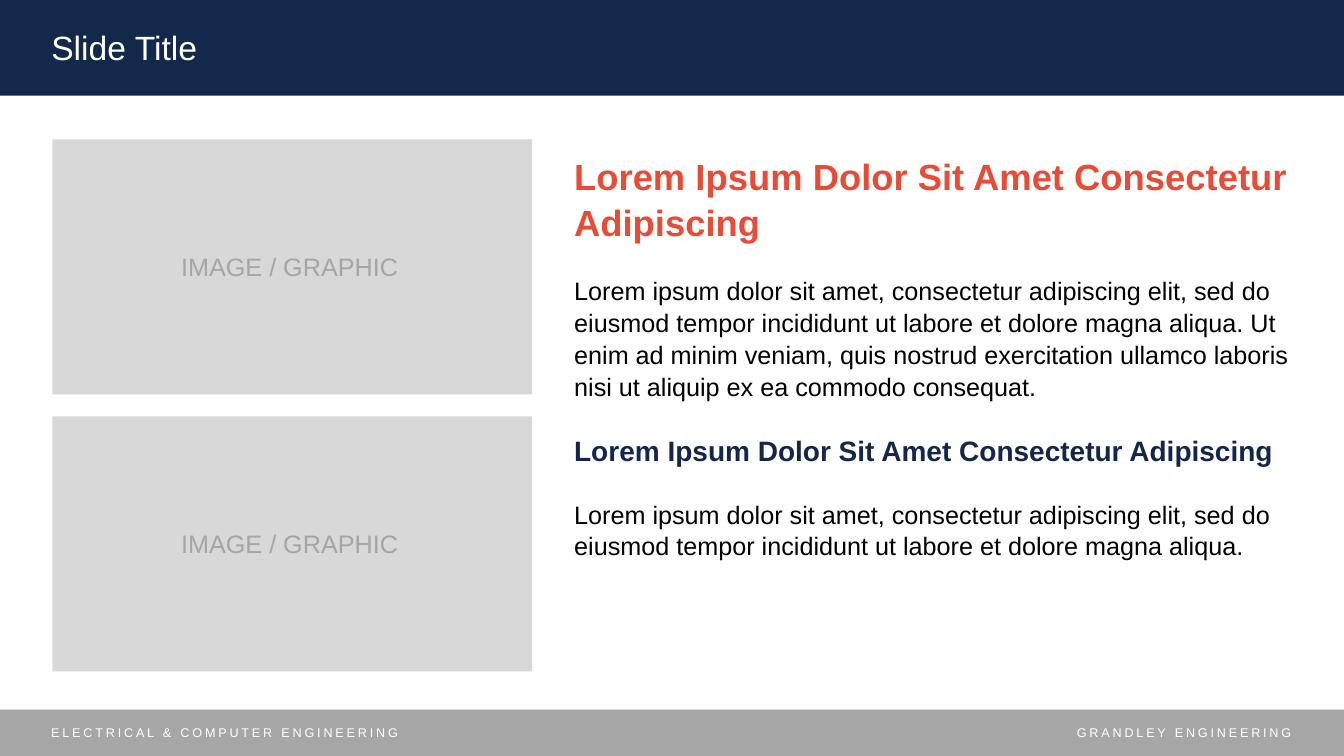
"""Build a slide with two image frames beside a column of text."""
from dataclasses import dataclass
from typing import Any

import pptx
import pptx.dml.color
import pptx.enum.shapes
import pptx.enum.text
import pptx.util

Cm = pptx.util.Cm
Pt = pptx.util.Pt
Align = pptx.enum.text.PP_ALIGN


@dataclass(frozen=True)
class Theme:
    font: str = "Arial"
    navy: str = "13294B"
    ink: str = "15264B"
    coral: str = "E84B36"
    black: str = "000000"
    white: str = "FFFFFF"
    frame: str = "D8D8D8"
    label: str = "A5A5A5"
    foot: str = "A6A6A6"
    title_size: float = 24
    head_size: float = 26
    sub_size: float = 20
    text_size: float = 18
    foot_size: float = 9


@dataclass(frozen=True)
class Box:
    left: float
    top: float
    width: float
    height: float

    def place(self) -> tuple:
        return Cm(self.left), Cm(self.top), Cm(self.width), Cm(self.height)


@dataclass(frozen=True)
class Part:
    text: str
    size: float
    color: str
    bold: bool = False


@dataclass(frozen=True)
class Note:
    box: Box
    text: str
    align: Any


THEME = Theme()
WIDTH, HEIGHT = 33.87, 19.05
TOP_BAR = Box(0, 0, WIDTH, 2.41)
FOOT_BAR = Box(0, 17.88, WIDTH, 1.17)
TITLE = Box(1.04, 0.56, 30.3, 1.27)
BODY = Box(14.22, 3.71, 18.57, 13.39)
FRAMES = [Box(1.32, 3.51 + 6.98 * row, 12.09, 6.43) for row in range(2)]
BODY_GAP = 21.7
BODY_LINE = 1.05

PARTS = [
    Part("Lorem Ipsum Dolor Sit Amet Consectetur Adipiscing",
         THEME.head_size, THEME.coral, True),
    Part("Lorem ipsum dolor sit amet, consectetur adipiscing elit, sed do "
         "eiusmod tempor incididunt ut labore et dolore magna aliqua. Ut enim "
         "ad minim veniam, quis nostrud exercitation ullamco laboris nisi ut "
         "aliquip ex ea commodo consequat.",
         THEME.text_size, THEME.black),
    Part("Lorem Ipsum Dolor Sit Amet Consectetur Adipiscing",
         THEME.sub_size, THEME.ink, True),
    Part("Lorem ipsum dolor sit amet, consectetur adipiscing elit, sed do "
         "eiusmod tempor incididunt ut labore et dolore magna aliqua.",
         THEME.text_size, THEME.black),
]

NOTES = [
    Note(Box(1.04, 18.14, 22.2, 0.64), "ELECTRICAL & COMPUTER ENGINEERING",
         Align.LEFT),
    Note(Box(25.93, 18.14, 6.86, 0.64), "GRANDLEY ENGINEERING", Align.RIGHT),
]


def rgb(color: str) -> pptx.dml.color.RGBColor:
    return pptx.dml.color.RGBColor.from_string(color)


def write(para: Any, text: str, *, size: float, color: str, bold: bool = False,
          align: Any = Align.LEFT, track: float = 0, gap: float = 0,
          line: float = 1.0) -> None:
    para.alignment = align
    para.space_before = Pt(gap)
    para.line_spacing = line
    run = para.add_run()
    run.text = text
    run.font.name = THEME.font
    run.font.size = Pt(size)
    run.font.bold = bold
    run.font.color.rgb = rgb(color)
    if track:
        run._r.get_or_add_rPr().set("spc", str(round(track * 100)))


def set_frame(shape: Any) -> Any:
    frame = shape.text_frame
    frame.word_wrap = True
    frame.auto_size = pptx.enum.text.MSO_AUTO_SIZE.NONE
    frame.vertical_anchor = pptx.enum.text.MSO_ANCHOR.TOP
    return frame


def add_text(slide: Any, box: Box) -> Any:
    return set_frame(slide.shapes.add_textbox(*box.place()))


def add_rect(slide: Any, box: Box, color: str) -> Any:
    kind = pptx.enum.shapes.MSO_SHAPE.RECTANGLE
    rect = slide.shapes.add_shape(kind, *box.place())
    rect.shadow.inherit = False
    rect.fill.solid()
    rect.fill.fore_color.rgb = rgb(color)
    rect.line.fill.background()
    return rect


def add_title(slide: Any) -> None:
    title = slide.shapes.title
    title.left, title.top, title.width, title.height = TITLE.place()
    write(set_frame(title).paragraphs[0], "Slide Title",
          size=THEME.title_size, color=THEME.white)
    bar = add_rect(slide, TOP_BAR, THEME.navy)
    title.element.addprevious(bar.element)


def add_image(slide: Any, box: Box) -> None:
    add_rect(slide, box, THEME.frame)
    label = Box(box.left + 2.82, box.top + 2.71, 6.32, 1.02)
    write(add_text(slide, label).paragraphs[0], "IMAGE / GRAPHIC",
          size=THEME.text_size, color=THEME.label, align=Align.CENTER)


def add_body(slide: Any) -> None:
    frame = add_text(slide, BODY)
    for index, part in enumerate(PARTS):
        para = frame.add_paragraph() if index else frame.paragraphs[0]
        write(para, part.text, size=part.size, color=part.color,
              bold=part.bold, gap=BODY_GAP if index else 0, line=BODY_LINE)


def add_foot(slide: Any) -> None:
    add_rect(slide, FOOT_BAR, THEME.foot)
    for note in NOTES:
        write(add_text(slide, note.box).paragraphs[0], note.text,
              size=THEME.foot_size, color=THEME.white, align=note.align,
              track=2)


def main() -> None:
    deck = pptx.Presentation()
    deck.slide_width, deck.slide_height = Cm(WIDTH), Cm(HEIGHT)
    slide = deck.slides.add_slide(deck.slide_layouts.get_by_name("Title Only"))
    add_title(slide)
    for box in FRAMES:
        add_image(slide, box)
    add_body(slide)
    add_foot(slide)
    deck.save("out.pptx")


if __name__ == "__main__":
    main()
